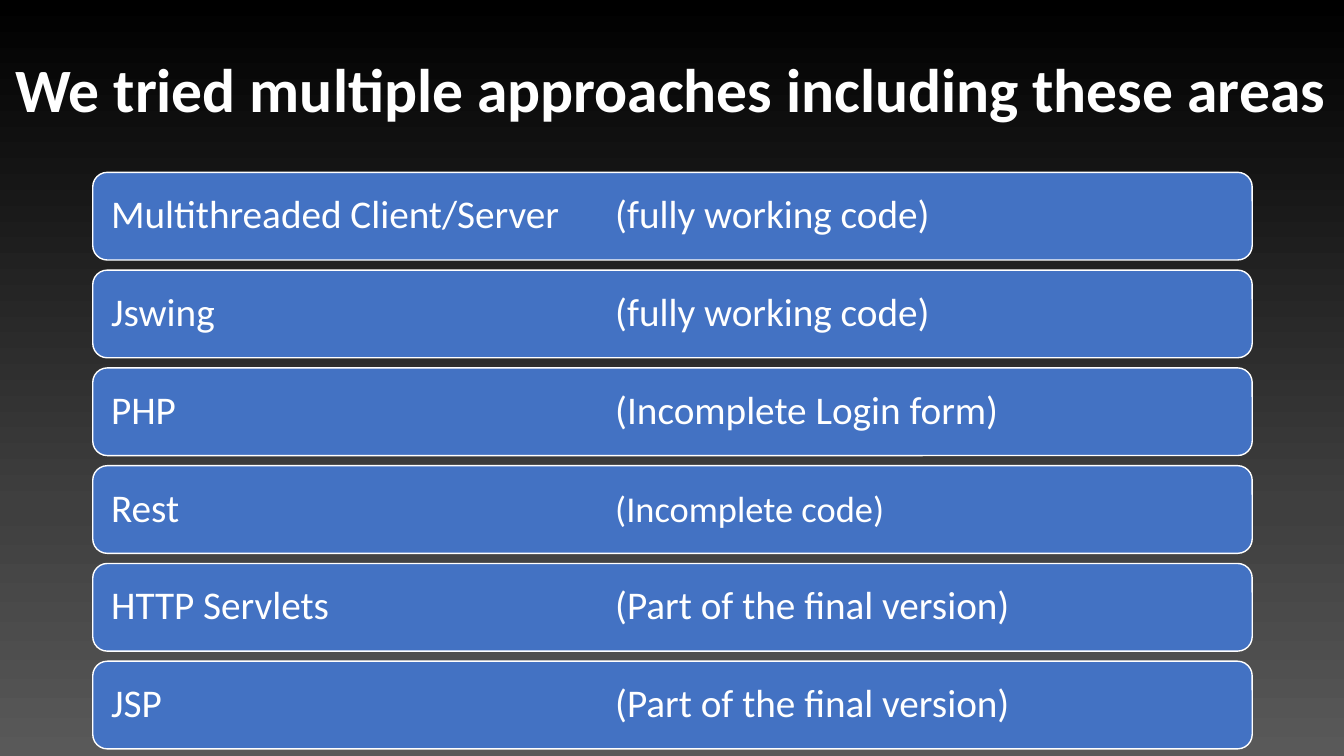
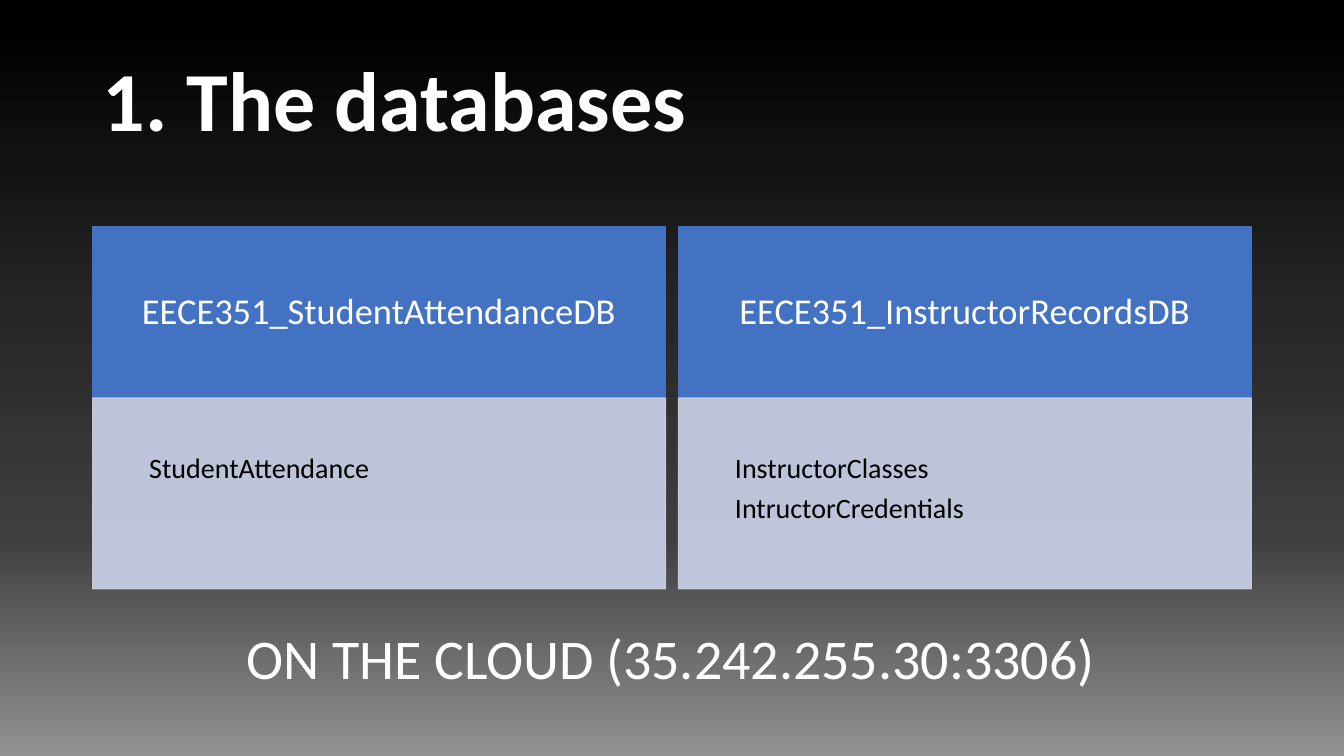
from lxml import etree
from pptx import Presentation
from pptx.dml.color import RGBColor
from pptx.enum.shapes import MSO_SHAPE
from pptx.enum.text import MSO_ANCHOR, MSO_AUTO_SIZE, PP_ALIGN
from pptx.oxml.ns import qn
from pptx.util import Inches, Pt

RECTANGLE, ROUNDED = MSO_SHAPE.RECTANGLE, MSO_SHAPE.ROUNDED_RECTANGLE
TOP, MIDDLE = MSO_ANCHOR.TOP, MSO_ANCHOR.MIDDLE
LEFT, CENTER = PP_ALIGN.LEFT, PP_ALIGN.CENTER
TITLE_ONLY = 5
FONT = "Calibri"
COLORS = {"white": "FFFFFF", "black": "000000", "blue": "4372C3", "pale": "CCD3EA"}

MARGIN, CONTENT_WIDTH = 0.92, 11.5

APPROACHES_GRADIENT = [(0, "595959"), (33, "3F3F3F"), (100, "000000")]
DATABASES_GRADIENT = [(0, "929292"), (29, "3F3F3F"), (59, "262626"),
                      (97, "000000"), (100, "000000")]

APPROACHES = [
    ("Multithreaded Client/Server", "(fully working code)", 28),
    ("Jswing", "(fully working code)", 28),
    ("PHP", "(Incomplete Login form)", 28),
    ("Rest", "(Incomplete code)", 26),
    ("HTTP Servlets", "(Part of the final version)", 28),
    ("JSP", "(Part of the final version)", 28),
]
DATABASES = [
    ("EECE351_StudentAttendanceDB", ["StudentAttendance"]),
    ("EECE351_InstructorRecordsDB", ["InstructorClasses", "IntructorCredentials"]),
]


def rgb(name):
    return RGBColor.from_string(COLORS[name])


def add_tab_stop(para, position):
    tabs = etree.SubElement(para._p.get_or_add_pPr(), qn("a:tabLst"))
    etree.SubElement(tabs, qn("a:tab"), pos=str(Inches(position)), algn="l")


def write(frame, lines, size=28, color="white", bold=False, align=LEFT, anchor=MIDDLE,
          insets=(0.1, 0.05), spacing=0.9, gap=0, tab=None):
    """Fill a text frame; each line is a list of (text, size) spans or a plain string."""
    frame.word_wrap = True
    frame.auto_size = MSO_AUTO_SIZE.NONE
    frame.vertical_anchor = anchor
    frame.margin_left = frame.margin_right = Inches(insets[0])
    frame.margin_top = frame.margin_bottom = Inches(insets[1])
    for index, line in enumerate(lines):
        para = frame.add_paragraph() if index else frame.paragraphs[0]
        if tab:
            add_tab_stop(para, tab)
        para.alignment = align
        para.line_spacing = spacing
        para.space_before = Pt(gap if index else 0)
        spans = [(line, size)] if isinstance(line, str) else line
        for text, span_size in spans:
            span = para.add_run()
            span.text = text
            span.font.name = FONT
            span.font.size = Pt(span_size)
            span.font.bold = bold
            span.font.color.rgb = rgb(color)


class Deck:
    def __init__(self):
        self.deck = Presentation()
        self.deck.slide_width = Inches(13.33)
        self.deck.slide_height = Inches(7.5)
        self.page = None

    def start(self, gradient):
        """Add a slide whose background runs from the bottom up."""
        self.page = self.deck.slides.add_slide(self.deck.slide_layouts[TITLE_ONLY])
        fill = self.page.background.fill
        fill.gradient()
        fill.gradient_angle = 90
        stops = self.page.element.find(".//" + qn("a:gsLst"))
        stops.clear()
        for percent, color in gradient:
            stop = etree.SubElement(stops, qn("a:gs"), pos=str(percent * 1000))
            etree.SubElement(stop, qn("a:srgbClr"), val=color)

    def title(self, text, left, top, width, size):
        box = self.page.shapes.title
        box.left, box.top = Inches(left), Inches(top)
        box.width, box.height = Inches(width), Inches(1.45)
        write(box.text_frame, [text], size=size, bold=True)

    def panel(self, kind, place, lines, fill, line, opacity=100, **style):
        box = self.page.shapes.add_shape(kind, *map(Inches, place))
        box.shadow.inherit = False
        box.fill.solid()
        box.fill.fore_color.rgb = rgb(fill)
        box.line.color.rgb = rgb(line)
        box.line.width = Pt(1)
        if opacity < 100:
            for color in box.element.spPr.iter(qn("a:srgbClr")):
                etree.SubElement(color, qn("a:alpha"), val=str(opacity * 1000))
        write(box.text_frame, lines, **style)

    def text(self, place, lines, **style):
        box = self.page.shapes.add_textbox(*map(Inches, place))
        write(box.text_frame, lines, **style)


def add_approaches(deck):
    deck.start(APPROACHES_GRADIENT)
    deck.title("We tried multiple approaches including these areas", 0.05, 0.19, 13.28, 44)
    first_top, height, pitch = 1.71, 0.87, 0.97
    for row, (area, status, status_size) in enumerate(APPROACHES):
        place = (MARGIN, first_top + row * pitch, CONTENT_WIDTH, height)
        deck.panel(ROUNDED, place, [[(area + "\t", 28), (status, status_size)]],
                   "blue", "white", insets=(0.14, 0.14), tab=5)


def add_databases(deck):
    deck.start(DATABASES_GRADIENT)
    deck.title("1. The databases", MARGIN, 0.31, CONTENT_WIDTH, 60)
    top, header_height, body_height = 2.25, 1.7, 1.89
    width, pitch = 5.68, 5.81
    for column, (database, tables) in enumerate(DATABASES):
        left = MARGIN + column * pitch
        deck.panel(RECTANGLE, (left, top, width, header_height), [database],
                   "blue", "blue", size=26, align=CENTER, insets=(0.45, 0.45))
        deck.panel(RECTANGLE, (left, top + header_height, width, body_height), tables,
                   "pale", "pale", opacity=90, size=20, color="black", anchor=TOP,
                   insets=(0.56, 0.56), gap=7)
    deck.text((0.99, 6.09, 11.32, 1.11), ["ON THE CLOUD (35.242.255.30:3306)"],
              size=40, align=CENTER, anchor=TOP, insets=(0.1, 0.1), spacing=1.0)


def main():
    deck = Deck()
    add_approaches(deck)
    add_databases(deck)
    deck.deck.save("out.pptx")


if __name__ == "__main__":
    main()
